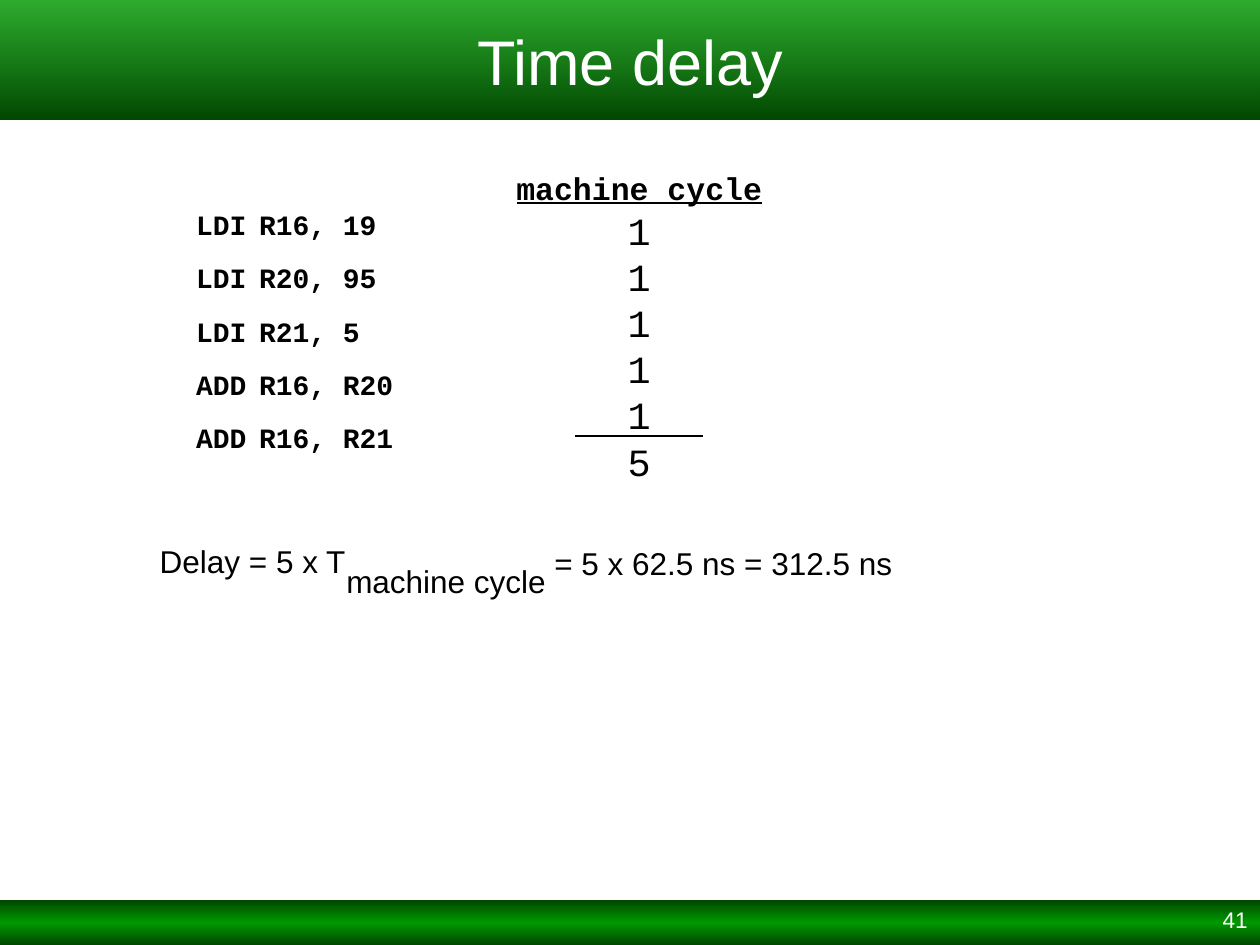
from dataclasses import dataclass

from lxml import etree
from pptx import Presentation
from pptx.dml.color import RGBColor
from pptx.enum.shapes import MSO_CONNECTOR, MSO_SHAPE
from pptx.enum.text import MSO_ANCHOR, MSO_AUTO_SIZE, PP_ALIGN
from pptx.oxml.ns import qn
from pptx.util import Pt

RECTANGLE = MSO_SHAPE.RECTANGLE
STRAIGHT = MSO_CONNECTOR.STRAIGHT
LEFT, CENTER, RIGHT = PP_ALIGN.LEFT, PP_ALIGN.CENTER, PP_ALIGN.RIGHT
MIDDLE = MSO_ANCHOR.MIDDLE
GROW = MSO_AUTO_SIZE.SHAPE_TO_FIT_TEXT


@dataclass(frozen=True)
class Theme:
    green: str = "009900"
    dark_green: str = "004700"
    white: str = "FFFFFF"
    black: str = "000000"
    sans: str = "Arial"
    mono: str = "Courier New"
    title: float = 36
    cycles: float = 22
    body: float = 18
    code: float = 16
    number: float = 12.9
    rule: float = 0.75


THEME = Theme()
BODY = {"name": THEME.sans, "size": Pt(THEME.body)}
CODE = {"name": THEME.mono, "size": Pt(THEME.code), "bold": True}
CYCLE_HEAD = {"name": THEME.mono, "size": Pt(THEME.body), "bold": True}
CYCLE = {"name": THEME.mono, "size": Pt(THEME.cycles), "bold": False}
TITLE = {"name": THEME.sans, "size": Pt(THEME.title)}
NUMBER = {"name": THEME.sans, "size": Pt(THEME.number)}

INSTRUCTIONS = ["LDI\tR16, 19", "LDI\tR20, 95", "LDI\tR21, 5",
                "ADD\tR16, R20", "ADD\tR16, R21"]


def points(*lengths):
    return [Pt(length) for length in lengths]


def write_lines(frame, lines, align=LEFT, color=THEME.black, gap=0):
    """Write (text, font values) pairs, one paragraph each."""
    for index, (text, values) in enumerate(lines):
        para = frame.add_paragraph() if index else frame.paragraphs[0]
        para.alignment = align
        if index and gap:
            para.space_before = Pt(gap)
        span = para.add_run()
        span.text = text
        for name, value in values.items():
            setattr(span.font, name, value)
        span.font.color.rgb = RGBColor.from_string(color)


def add_text(shapes, box, lines, **layout):
    frame = shapes.add_textbox(*points(*box)).text_frame
    frame.word_wrap = True
    frame.auto_size = GROW
    write_lines(frame, lines, **layout)
    return frame


def add_band(shapes, box, stops):
    """Add a bar shaded downwards; stops are (percent, colour, opacity)."""
    band = shapes.add_shape(RECTANGLE, *points(*box))
    band.shadow.inherit = False
    band.line.fill.background()
    band.fill.gradient()
    band.fill.gradient_angle = 270
    stop_list = next(band._element.spPr.iter(qn("a:gsLst")))
    for stop in list(stop_list):
        stop_list.remove(stop)
    for percent, color, opacity in stops:
        stop = etree.SubElement(stop_list, qn("a:gs"), pos=str(percent * 1000))
        shade = etree.SubElement(stop, qn("a:srgbClr"), val=color)
        if opacity < 100:
            etree.SubElement(shade, qn("a:alpha"), val=str(opacity * 1000))
    return band


def add_rule(shapes, left, right, y):
    rule = shapes.add_connector(STRAIGHT, *points(left, y, right, y))
    rule.line.width = Pt(THEME.rule)
    rule.line.color.rgb = RGBColor.from_string(THEME.black)
    etree.SubElement(rule._element.spPr, qn("a:effectLst"))


def add_title(page, box):
    band = add_band(page.shapes, box, [(0, THEME.green, 82), (100, THEME.dark_green, 100)])
    band.text_frame.vertical_anchor = MIDDLE
    write_lines(band.text_frame, [("Time delay", TITLE)], CENTER, THEME.white)


def add_footer(page, box):
    left, top, width, height = box
    add_band(page.shapes, box, [(0, THEME.dark_green, 100), (50, THEME.green, 100),
                                (100, THEME.dark_green, 100)])
    number_width = 168
    frame = add_text(page.shapes, (left + width - number_width, top + 1.5, number_width, 23.7),
                     [("41", NUMBER)], align=RIGHT, color=THEME.white)
    frame.paragraphs[0].line_spacing = 0.9


def add_code(page, box):
    add_text(page.shapes, box, [(line, CODE) for line in INSTRUCTIONS], gap=11.2)


def add_cycles(page, box):
    """Add the cycle column with rules under its heading and above its sum."""
    left, top, width, height = box
    shapes = page.shapes.add_group_shape().shapes
    counts = [1] * len(INSTRUCTIONS)
    lines = [("machine cycle", CYCLE_HEAD)]
    lines += [(str(count), CYCLE) for count in counts + [sum(counts)]]
    add_text(shapes, box, lines, align=CENTER)
    middle = left + width / 2
    for rule_width, drop in ((140, 23), (73, 156.2)):
        add_rule(shapes, middle - rule_width / 2, middle + rule_width / 2, top + drop)


def add_delay(page, box):
    """Add the formula, whose lowered index is a box of its own."""
    left, top, width, height = box
    parts = [("Delay = 5 x T", 0, 0, 176), ("machine cycle", 106.6, 11.5, 189),
             ("= 5 x 62.5 ns = 312.5 ns", 225.5, 1.4, 222)]
    for text, shift, drop, part_width in parts:
        add_text(page.shapes, (left + shift, top + drop, part_width, height), [(text, BODY)])


def main():
    deck = Presentation()
    deck.slide_width, deck.slide_height = points(720, 540)
    page = deck.slides.add_slide(deck.slide_layouts[6])
    add_footer(page, (0, 514.5, 720, 25.5))
    add_title(page, (0, 0, 720, 68.5))
    add_code(page, (105, 115.2, 189.4, 143.3))
    add_cycles(page, (257, 93, 216.5, 187.2))
    add_delay(page, (84.2, 306, 448, 28.8))
    deck.save("out.pptx")


if __name__ == "__main__":
    main()
